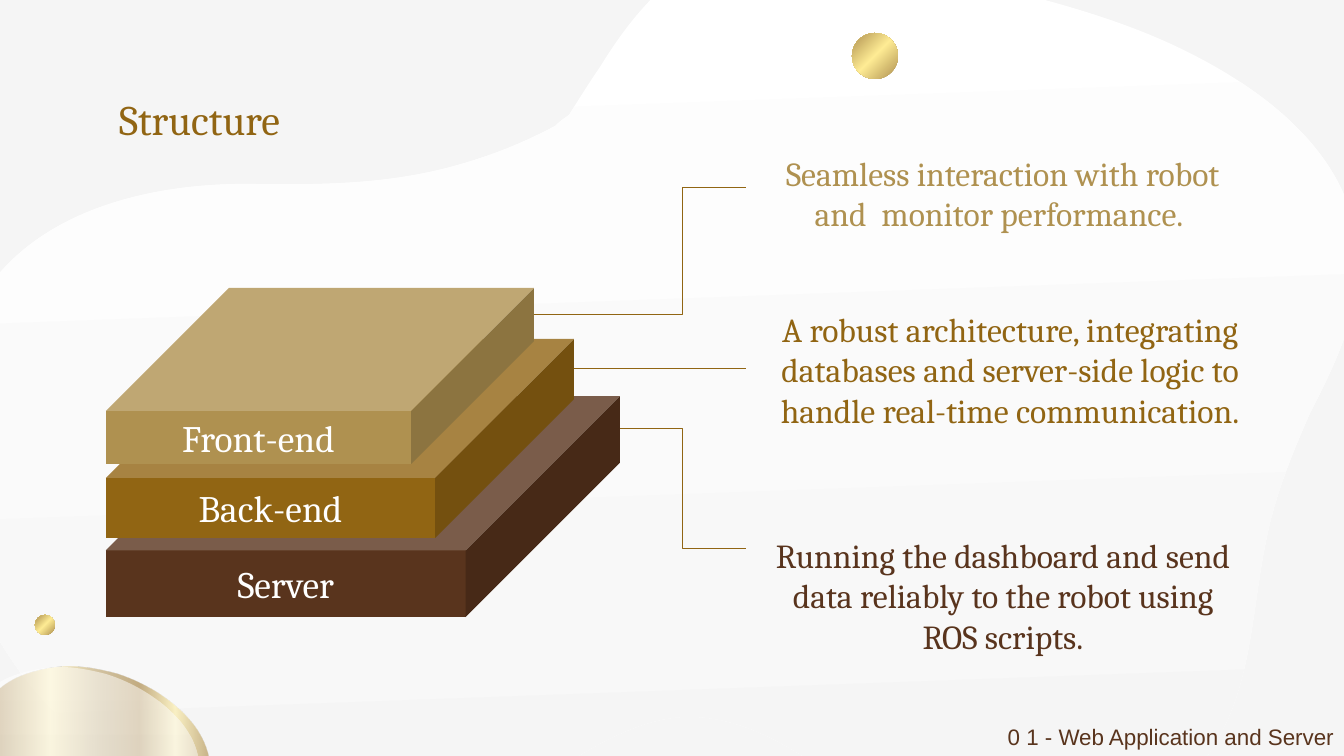
import pptx
import pptx.util
import pptx.dml.color
import pptx.enum.shapes
import pptx.enum.text
import pptx.oxml
import pptx.oxml.ns
from lxml import etree

SCALE = 914400 / 100.8  # EMU in one px
THEME = {
    "paper": "F5F5F5", "white": "FFFFFF", "brown": "59341D",
    "gold": "916513", "sand": "AF9150", "shine": "FFEC95",
    "serif": "Cambria", "sans": "Arial",
    "title": 30, "label": 26.7, "body": 24, "footer": 16,
}
MIDDLE = pptx.enum.text.MSO_ANCHOR.MIDDLE
TOP = pptx.enum.text.MSO_ANCHOR.TOP
ALIGN = pptx.enum.text.PP_ALIGN
SHAPE = pptx.enum.shapes.MSO_SHAPE


def write(box, text, size, color, align, anchor, font="serif", inset=13):
    frame = box.text_frame
    frame.word_wrap = True
    frame.auto_size = pptx.enum.text.MSO_AUTO_SIZE.NONE
    frame.vertical_anchor = anchor
    frame.margin_left = frame.margin_right = round(inset * SCALE)
    frame.margin_top = frame.margin_bottom = round(inset * SCALE)
    para = frame.paragraphs[0]
    para.alignment = align
    span = para.add_run()
    span.text = text
    span.font.name = THEME[font]
    span.font.size = pptx.util.Pt(THEME[size])
    span.font.color.rgb = pptx.dml.color.RGBColor.from_string(THEME[color])


def paint_gradient(shape, stops, angle, opacity=100):
    """Fill with (percent, colour) stops; the angle runs clockwise."""
    shape.shadow.inherit = False
    shape.line.fill.background()
    shape.fill.gradient()
    shape.fill.gradient_angle = (360 - angle) % 360
    stop_list = shape.element.spPr.find(".//" + pptx.oxml.ns.qn("a:gsLst"))
    for old_stop in list(stop_list):
        stop_list.remove(old_stop)
    for percent, color in stops:
        stop = etree.SubElement(stop_list, pptx.oxml.ns.qn("a:gs"), pos=str(percent * 1000))
        tint = etree.SubElement(stop, pptx.oxml.ns.qn("a:srgbClr"), val=THEME[color])
        if opacity < 100:
            etree.SubElement(tint, pptx.oxml.ns.qn("a:alpha"), val=str(opacity * 1000))


# Deck and page
deck = pptx.Presentation()
deck.slide_width = round(1344 * SCALE)
deck.slide_height = round(756 * SCALE)
page = deck.slides.add_slide(deck.slide_layouts[5])
page.background.fill.solid()
page.background.fill.fore_color.rgb = pptx.dml.color.RGBColor.from_string(THEME["paper"])

# Curved outlines: a start point, then two handles and an end point per curve
blob_points = [
    (-55, 455),
    (-52, 539), (-19, 626), (32, 687), (79, 744), (144, 777), (212, 803),
    (287, 832), (369, 845), (448, 823), (488, 811), (522, 791), (557, 769),
    (593, 747), (630, 724), (672, 718), (754, 708), (819, 770), (883, 809),
    (938, 844), (1004, 861), (1068, 848), (1127, 837), (1177, 800), (1210, 752),
    (1253, 688), (1251, 610), (1267, 536), (1276, 493), (1292, 454), (1310, 413),
    (1328, 378), (1346, 342), (1354, 303), (1358, 287), (1359, 272), (1358, 257),
    (1355, 155), (1262, 86), (1171, 44), (1110, 16), (1044, -1), (978, -17),
    (932, -28), (889, -44), (844, -55), (807, -64), (768, -66), (731, -53),
    (671, -32), (632, 15), (600, 67), (589, 83), (579, 99), (569, 115),
    (563, 119), (559, 122), (555, 126), (525, 142), (493, 155), (461, 164),
    (393, 184), (326, 185), (255, 184), (146, 182), (16, 213), (-32, 323),
    (-50, 364), (-57, 409), (-55, 455),
]
disc_points = [
    (70, 667),
    (55, 667), (41, 670), (28, 674), (3, 682), (-15, 699), (-20, 720),
    (-26, 740), (-20, 764), (-3, 784), (14, 805), (40, 822), (71, 831),
    (86, 835), (102, 837), (116, 837), (131, 837), (145, 835), (157, 831),
    (182, 823), (201, 805), (207, 785), (213, 764), (207, 741), (190, 721),
    (172, 700), (145, 683), (116, 674), (100, 670), (85, 667), (70, 667),
]
paper_stops = [(0, "white"), (100, "paper")]
metal_stops = [(0, "brown"), (11, "gold"), (32, "shine"), (52, "sand"),
               (69, "gold"), (84, "shine"), (100, "gold")]
for points, shift, stops, angle, opacity in [
    (blob_points, 0, paper_stops, 87.9, 100),
    (disc_points, 0, metal_stops, 0, 51),
    (disc_points, -10, paper_stops, 90, 51),
]:
    placed = [((x + shift) * SCALE, y * SCALE) for x, y in points]
    builder = page.shapes.build_freeform(*placed[0])
    builder.add_line_segments(placed[1:], close=True)
    outline = builder.convert_to_shape()
    # Gather every three segments into one Bézier curve
    segments = list(outline.element.iter(pptx.oxml.ns.qn("a:lnTo")))
    for first in range(0, len(segments), 3):
        curve = etree.Element(pptx.oxml.ns.qn("a:cubicBezTo"))
        segments[first].addprevious(curve)
        for segment in segments[first:first + 3]:
            curve.append(segment[0])
            segment.getparent().remove(segment)
    paint_gradient(outline, stops, angle, opacity)

# Gold balls
for left, top, size in [(35, 615, 20), (852, 33, 46)]:
    ball = page.shapes.add_shape(
        SHAPE.OVAL, *[round(px * SCALE) for px in (left, top, size, size)])
    paint_gradient(ball, [(0, "sand"), (51, "shine"), (100, "sand")], 225)

# Title, brought in front of the background art
title = page.shapes.title
title.element.getparent().append(title.element)
title.left, title.top, title.width, title.height = [
    round(px * SCALE) for px in (106, 80, 1132, 82)]
write(title, "Structure", "title", "gold", ALIGN.LEFT, TOP)

# Descriptions
for text, color, top, width, height in [
    ("Running the dashboard and send data reliably to the robot using ROS scripts.",
     "brown", 506, 486, 179),
    (" Seamless interaction with robot and  monitor performance.",
     "sand", 130, 478, 126),
    ("A robust architecture, integrating databases and server-side logic "
     "to handle real-time communication.", "gold", 296, 500, 147),
]:
    box = page.shapes.add_textbox(*[round(px * SCALE) for px in (760, top, width, height)])
    write(box, text, "body", color, ALIGN.CENTER, MIDDLE)

# Stacked layers
LAYER_LEFT, DEPTH = 106, 0.698
layers = [
    ("Server", "brown", 396, 514, 221),
    ("Back-end", "gold", 339, 468, 199),
    ("Front-end", "sand", 288, 428, 176),
]
for label, color, top, width, height in layers:
    layer = page.shapes.add_shape(
        SHAPE.CUBE, *[round(px * SCALE) for px in (LAYER_LEFT, top, width, height)])
    layer.adjustments[0] = DEPTH
    layer.shadow.inherit = False
    layer.fill.solid()
    layer.fill.fore_color.rgb = pptx.dml.color.RGBColor.from_string(THEME[color])
    layer.line.fill.background()
    write(layer, label, "label", "white", ALIGN.CENTER, MIDDLE)

# Leaders from the middle of each layer's right face
BEND, LEADER_END = 683, 746
for (label, color, top, width, height), leader_y in zip(layers, (549, 369, 188)):
    right = LAYER_LEFT + width
    face_y = round(top + height * (1 - DEPTH) / 2)
    leader = page.shapes.add_connector(
        pptx.enum.shapes.MSO_CONNECTOR.ELBOW,
        *[round(px * SCALE) for px in (right, face_y, LEADER_END, leader_y)])
    leader.line.color.rgb = pptx.dml.color.RGBColor.from_string(THEME["gold"])
    leader.line.width = pptx.util.Pt(0.75)
    properties = leader.element.spPr
    etree.SubElement(properties, pptx.oxml.ns.qn("a:effectLst"))
    guides = properties.find(".//" + pptx.oxml.ns.qn("a:avLst"))
    bend = round((BEND - right) / (LEADER_END - right) * 100000)
    etree.SubElement(guides, pptx.oxml.ns.qn("a:gd"), name="adj1", fmla=f"val {bend}")

# Footer
footer = page.shapes.add_textbox(*[round(px * SCALE) for px in (959, 713, 385, 43)])
write(footer, "0 1 - Web Application and Server", "footer", "brown",
      ALIGN.RIGHT, TOP, font="sans", inset=10)

deck.save("out.pptx")
